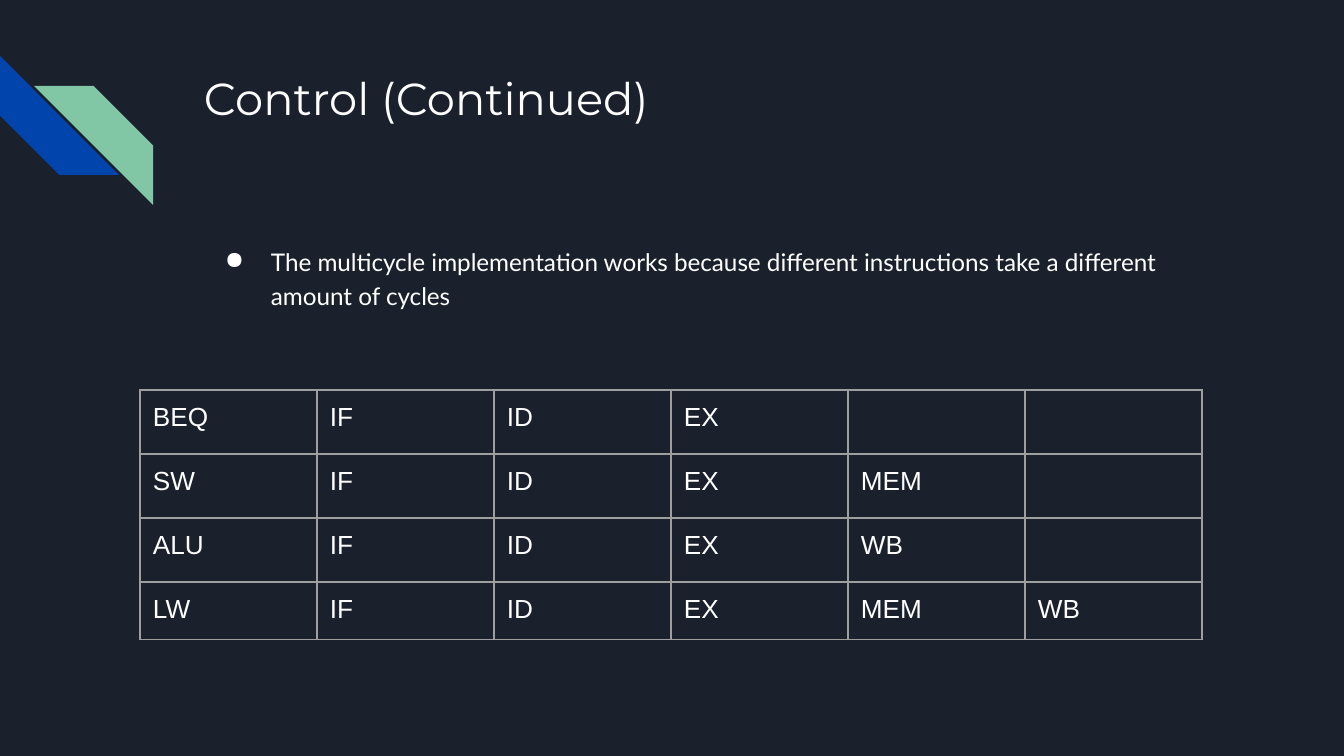
"""Build the slide about multicycle control with its table of instruction stages."""
from lxml import etree
from pptx import Presentation
from pptx.dml.color import RGBColor
from pptx.enum.shapes import MSO_SHAPE
from pptx.oxml.ns import qn
from pptx.util import Emu, Pt

STRIPE = MSO_SHAPE.DIAGONAL_STRIPE
NAVY = RGBColor(0x1B, 0x21, 0x2C)
BLUE = RGBColor(0x01, 0x45, 0xAC)
GREEN = RGBColor(0x82, 0xC7, 0xA5)
WHITE = RGBColor(0xFF, 0xFF, 0xFF)
GREY = RGBColor(0x9E, 0x9E, 0x9E)
EMU_PER_PX = 914400 / 134.4
INSET = 13
STAGES = [
    ["BEQ", "IF", "ID", "EX", "", ""],
    ["SW", "IF", "ID", "EX", "MEM", ""],
    ["ALU", "IF", "ID", "EX", "WB", ""],
    ["LW", "IF", "ID", "EX", "MEM", "WB"],
]


def px(length):
    return Emu(round(length * EMU_PER_PX))


def add_color(parent, tag, color):
    holder = etree.SubElement(parent, qn(tag))
    etree.SubElement(holder, qn("a:srgbClr"), val=str(color))


class SlideBuilder:
    def __init__(self, slide, background):
        self.slide = slide
        slide.background.fill.solid()
        slide.background.fill.fore_color.rgb = background

    def stripe(self, left, top, size, rotation, color):
        shape = self.slide.shapes.add_shape(STRIPE, px(left), px(top), px(size), px(size))
        shape.shadow.inherit = False
        shape.rotation = rotation
        shape.fill.solid()
        shape.fill.fore_color.rgb = color
        shape.line.fill.background()

    def run(self, paragraph, text, font, size):
        run = paragraph.add_run()
        run.text = text
        run.font.name = font
        run.font.size = Pt(size)
        run.font.color.rgb = WHITE

    def inset(self, holder):
        holder.margin_left = holder.margin_right = px(INSET)
        holder.margin_top = holder.margin_bottom = px(INSET)

    def text(self, left, top, width, height, text, font, size):
        box = self.slide.shapes.add_textbox(px(left), px(top), px(width), px(height))
        frame = box.text_frame
        frame.word_wrap = True
        self.inset(frame)
        paragraph = frame.paragraphs[0]
        self.run(paragraph, text, font, size)
        return paragraph

    def bullet(self, paragraph, indent, hanging):
        paragraph.line_spacing = 1.15
        properties = paragraph._p.get_or_add_pPr()
        properties.set("marL", str(px(indent)))
        properties.set("indent", str(-px(hanging)))
        add_color(properties, "a:buClr", WHITE)
        etree.SubElement(properties, qn("a:buChar"), char="●")

    def borders(self, cell):
        properties = cell._tc.get_or_add_tcPr()
        for index, side in enumerate(("a:lnL", "a:lnR", "a:lnT", "a:lnB")):
            line = etree.Element(qn(side), w=str(Pt(0.75)))
            add_color(line, "a:solidFill", GREY)
            properties.insert(index, line)

    def table(self, left, top, column_width, row_heights, rows):
        columns = len(rows[0])
        frame = self.slide.shapes.add_table(
            len(rows), columns, px(left), px(top),
            px(column_width * columns), px(sum(row_heights)))
        table = frame.table
        table.first_row = table.horz_banding = False
        for column in table.columns:
            column.width = px(column_width)
        for row, height, values in zip(table.rows, row_heights, rows):
            row.height = px(height)
            for cell, value in zip(row.cells, values):
                cell.fill.background()
                self.borders(cell)
                if value:
                    self.inset(cell)
                    self.run(cell.text_frame.paragraphs[0], value, "Arial", 14)


def main():
    presentation = Presentation()
    presentation.slide_width = px(1344)
    presentation.slide_height = px(756)
    slide = presentation.slides.add_slide(presentation.slide_layouts[6])
    builder = SlideBuilder(slide, NAVY)
    builder.stripe(0, 56, 119, 270, BLUE)
    builder.stripe(34, 86, 119, 90, GREEN)
    builder.text(191, 58, 1035, 134, "Control (Continued)", "Montserrat", 24)
    statement = builder.text(
        191, 230, 1035, 427,
        "The multicycle implementation works because different instructions "
        "take a different amount of cycles", "Lato", 13)
    builder.bullet(statement, 67, 46)
    builder.table(140, 390, 177, [64, 64, 64, 57], STAGES)
    presentation.save("out.pptx")


if __name__ == "__main__":
    main()
